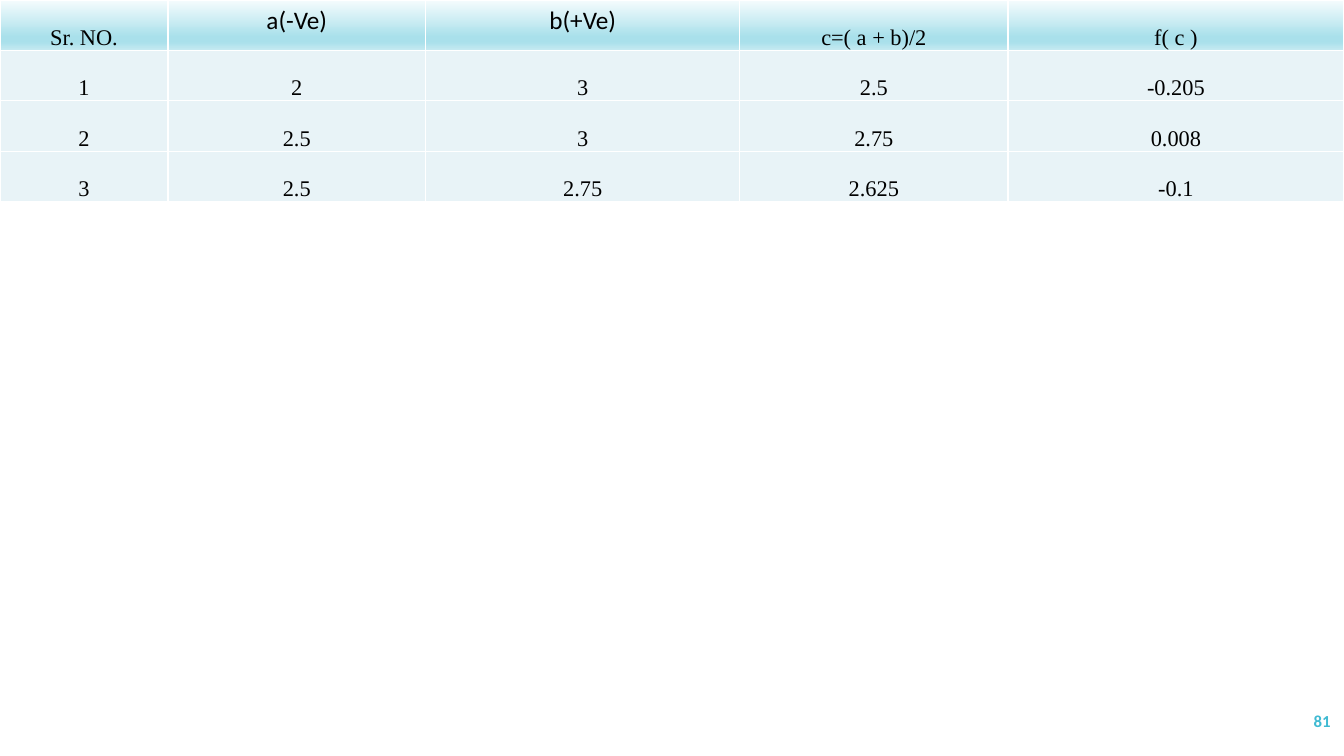
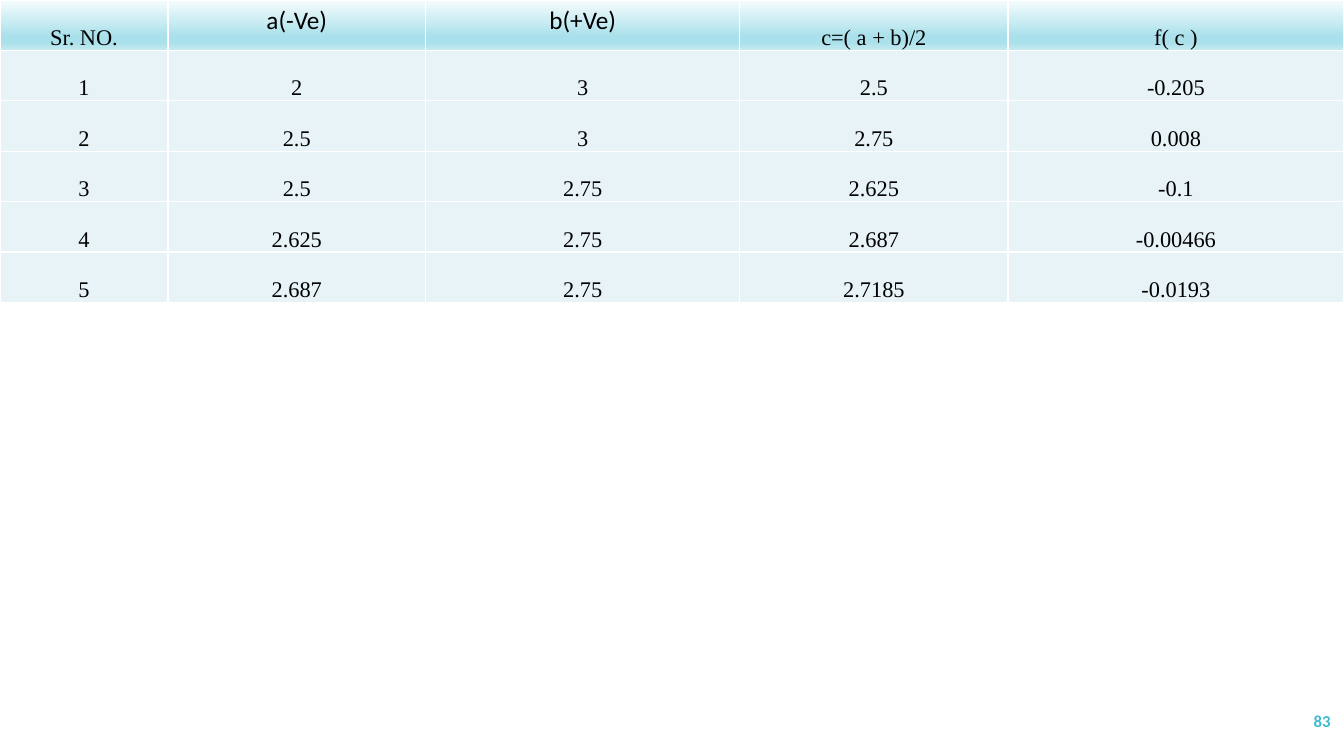
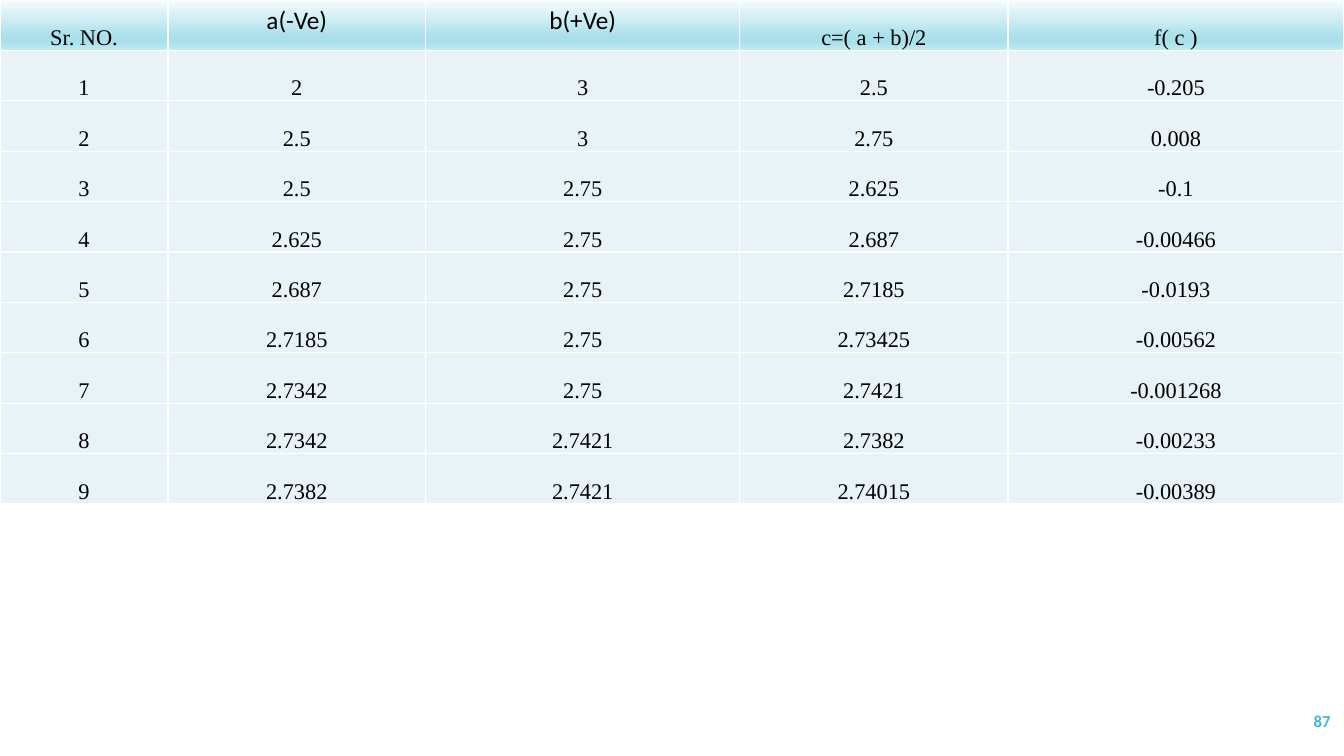
from lxml.etree import SubElement
from pptx import Presentation
from pptx.dml.color import RGBColor
from pptx.enum.text import MSO_ANCHOR, PP_ALIGN
from pptx.oxml.ns import qn
from pptx.util import Pt

HUES = {"ink": "000000", "line": "FFFFFF", "body": "E8F3F7", "page": "40BAD2",
        "pale": "F5FCFD", "deep": "A9E0EB", "soft": "C6EAF1"}
FADE = [(0, "pale"), (74, "deep"), (83, "deep"), (100, "soft")]
SERIF, SANS = "Times New Roman", "Calibri"
COLS = [120, 184, 224.5, 191.5, 240]
HIGH = 36
HEAD = ["Sr. NO.", "a(-Ve)", "b(+Ve)", "c=( a + b)/2", "f( c )"]
STEPS = [
    ("2", "3", "2.5", "-0.205"),
    ("2.5", "3", "2.75", "0.008"),
    ("2.5", "2.75", "2.625", "-0.1"),
    ("2.625", "2.75", "2.687", "-0.00466"),
    ("2.687", "2.75", "2.7185", "-0.0193"),
    ("2.7185", "2.75", "2.73425", "-0.00562"),
    ("2.7342", "2.75", "2.7421", "-0.001268"),
    ("2.7342", "2.7421", "2.7382", "-0.00233"),
    ("2.7382", "2.7421", "2.74015", "-0.00389"),
]
PAGES = [("81", 3), ("83", 5), ("87", 9)]


def write(frame, text, font, size, hue, align, bold=False):
    para = frame.paragraphs[0]
    para.alignment = align
    run = para.add_run()
    run.text = text
    run.font.name = font
    run.font.size = Pt(size)
    run.font.bold = bold
    run.font.color.rgb = RGBColor.from_string(HUES[hue])


def tint(node, hue):
    SubElement(node, qn("a:srgbClr"), val=HUES[hue])


def edge(cell):
    props = cell._tc.get_or_add_tcPr()
    for side in ("lnL", "lnR", "lnT", "lnB"):
        line = SubElement(props, qn(f"a:{side}"), w=str(Pt(1)))
        tint(SubElement(line, qn("a:solidFill")), "line")


def fade(cell):
    grad = SubElement(cell._tc.get_or_add_tcPr(), qn("a:gradFill"), rotWithShape="1")
    stops = SubElement(grad, qn("a:gsLst"))
    for spot, hue in FADE:
        tint(SubElement(stops, qn("a:gs"), pos=str(spot * 1000)), hue)
    SubElement(grad, qn("a:lin"), ang="5400000", scaled="0")


def flat(cell):
    cell.fill.solid()
    cell.fill.fore_color.rgb = RGBColor.from_string(HUES["body"])


def snug(cell):
    cell.vertical_anchor = MSO_ANCHOR.BOTTOM
    cell.margin_left = cell.margin_right = cell.margin_top = Pt(0.72)
    cell.margin_bottom = Pt(0)


def grid(slide, left, top, count):
    rows = [HEAD] + [(str(n), *step) for n, step in enumerate(STEPS[:count], 1)]
    table = slide.shapes.add_table(len(rows), len(COLS), Pt(left), Pt(top),
                                   Pt(sum(COLS)), Pt(HIGH * len(rows))).table
    table.first_row = table.horz_banding = False
    for col, wide in zip(table.columns, COLS):
        col.width = Pt(wide)
    for r, row in enumerate(rows):
        table.rows[r].height = Pt(HIGH)
        for c, text in enumerate(row):
            cell = table.cell(r, c)
            edge(cell)
            if r == 0:
                fade(cell)
            else:
                flat(cell)
            if r == 0 and c in (1, 2):
                font, size = SANS, 18
            else:
                font, size = SERIF, 16
                snug(cell)
            write(cell.text_frame, text, font, size, "ink", PP_ALIGN.CENTER)


def folio(slide, left, top, wide, high, text):
    frame = slide.shapes.add_textbox(Pt(left), Pt(top), Pt(wide), Pt(high)).text_frame
    frame.word_wrap = True
    frame.vertical_anchor = MSO_ANCHOR.MIDDLE
    write(frame, text, SANS, 12, "page", PP_ALIGN.RIGHT, True)


def main():
    deck = Presentation()
    deck.slide_width, deck.slide_height = Pt(960), Pt(540)
    for page, count in PAGES:
        slide = deck.slides.add_slide(deck.slide_layouts[6])
        grid(slide, 0, 0, count)
        folio(slide, 837.5, 500.5, 120, 28.75, page)
    deck.save("out.pptx")


if __name__ == "__main__":
    main()
